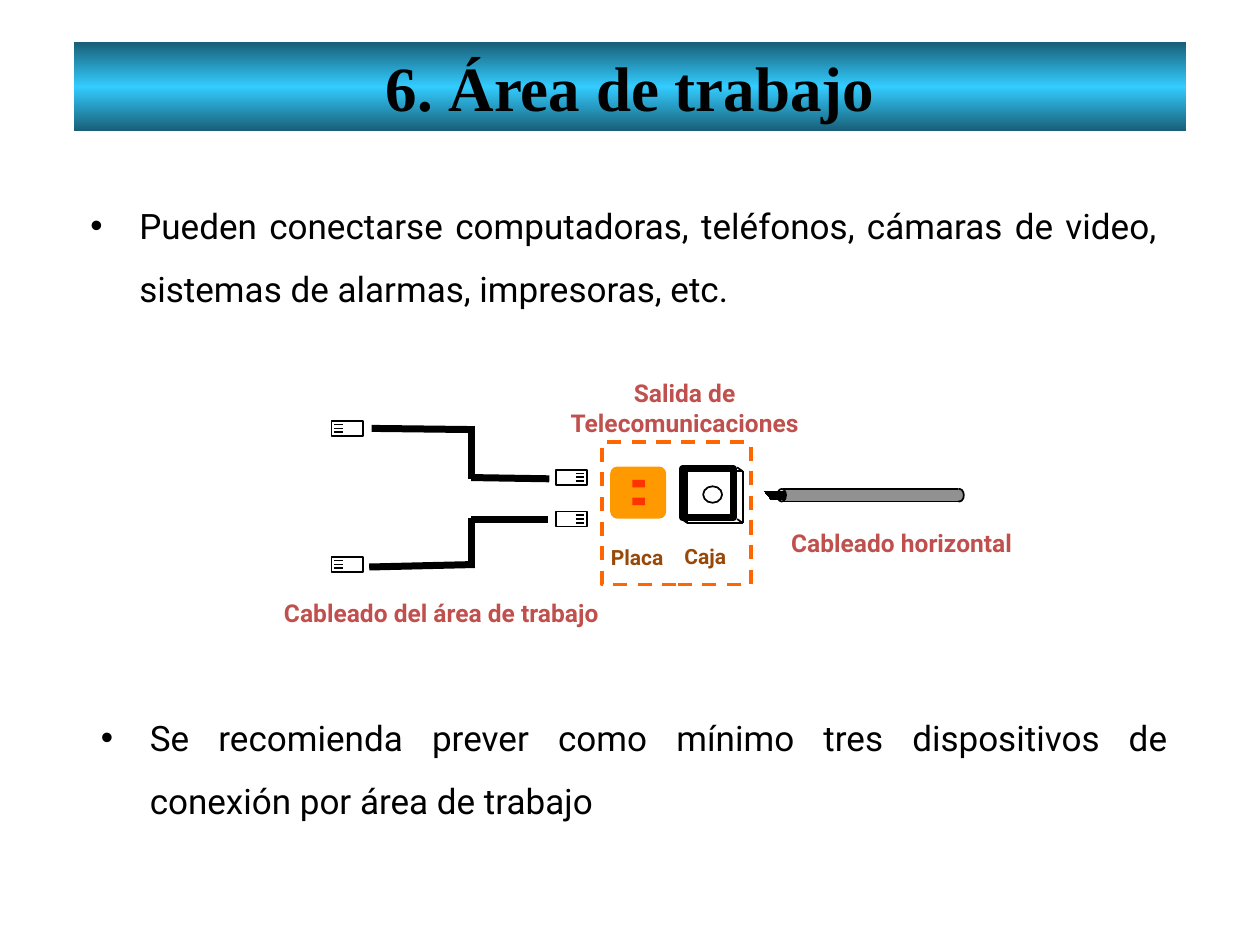
from copy import deepcopy
from dataclasses import dataclass
from typing import Optional

from lxml import etree
from pptx import Presentation
from pptx.dml.color import RGBColor
from pptx.enum import dml, shapes, text
from pptx.oxml.ns import qn
from pptx.util import Pt

Box = tuple[float, float, float, float]
KINDS = shapes.MSO_SHAPE


@dataclass(frozen=True)
class Theme:
    ink: str = "000000"
    white: str = "FFFFFF"
    sky: str = "33CCFF"
    deep: str = "185E76"
    red: str = "C0504D"
    brown: str = "984807"
    dash: str = "FF6600"
    plate: str = "FF9900"
    jack: str = "FF3300"
    gray: str = "919191"
    sans: str = "Roboto"
    serif: str = "Times New Roman"
    title: int = 36
    body: int = 20
    label: int = 14
    small: int = 12
    thin: int = 1
    thick: int = 4


T = Theme()


@dataclass(frozen=True)
class Label:
    box: Box
    lines: tuple[str, ...]
    size: int = T.label
    color: str = T.red
    center: bool = False


@dataclass(frozen=True)
class Plug:
    left: float
    top: float
    pin: float


BULLETS = (
    ((44.5, 101.5, 624, 76), "Pueden conectarse computadoras, teléfonos, "
     "cámaras de video, sistemas de alarmas, impresoras, etc."),
    ((50.5, 394, 624, 76), "Se recomienda prever como mínimo tres "
     "dispositivos de conexión por área de trabajo"),
)
LABELS = (
    Label((319, 214.5, 144.5, 37), ("Salida de", "Telecomunicaciones"),
          center=True),
    Label((345.5, 309.5, 39, 17.5), ("Placa",), T.small, T.brown),
    Label((387.5, 309, 33, 17.5), ("Caja",), T.small, T.brown),
    Label((152.5, 340, 199.5, 20), ("Cableado del área de trabajo",),
          center=True),
    Label((448.5, 300.25, 142, 20), ("Cableado horizontal",)),
)
PLUGS = (
    Plug(317.5, 268.5, 11.5), Plug(317.5, 292.3, 11.5),
    Plug(189.4, 240.5, 1.5), Plug(189.4, 318.2, 1.5),
)
CABLES = (
    (212.4, 244.8, 271.4, 245.5), (269.3, 244.8, 269.3, 273.6),
    (269.3, 272.9, 313.9, 273.6), (211, 324, 271.4, 322.6),
    (269.3, 295.9, 269.3, 324.7), (269.3, 296.6, 313.2, 296.6),
)


def rgb(color: str) -> RGBColor:
    return RGBColor.from_string(color)


def shape(page, kind, box: Box, fill: Optional[str] = None,
          line: Optional[str] = None, width: float = T.thin):
    item = page.shapes.add_shape(kind, *map(Pt, box))
    item.shadow.inherit = False
    if fill:
        item.fill.solid()
        item.fill.fore_color.rgb = rgb(fill)
    else:
        item.fill.background()
    if line:
        item.line.color.rgb = rgb(line)
        item.line.width = Pt(width)
    else:
        item.line.fill.background()
    return item


def wire(page, ends: Box, width: float = T.thin) -> None:
    item = page.shapes.add_connector(
        shapes.MSO_CONNECTOR.STRAIGHT, *map(Pt, ends))
    item.line.color.rgb = rgb(T.ink)
    item.line.width = Pt(width)
    etree.SubElement(item._element.spPr, qn("a:effectLst"))


def style(para, face: str, size: int, color: str, bold: bool) -> None:
    font = para.font
    font.name, font.size, font.bold = face, Pt(size), bold
    font.color.rgb = rgb(color)


def title(page) -> None:
    bar = shape(page, KINDS.RECTANGLE, (42, 24, 636, 51))
    bar.fill.gradient()
    bar.fill.gradient_angle = 90
    stops = bar._element.spPr.find(".//" + qn("a:gsLst"))
    stops.append(deepcopy(stops[0]))
    tones = (T.deep, T.sky, T.deep)
    for i, (stop, tone) in enumerate(zip(bar.fill.gradient_stops, tones)):
        stop.color.rgb = rgb(tone)
        stop.position = i / 2
    para = bar.text_frame.paragraphs[0]
    para.text = "6. Área de trabajo"
    para.alignment = text.PP_ALIGN.CENTER
    style(para, T.serif, T.title, T.ink, True)


def bullet(page, box: Box, words: str) -> None:
    frame = page.shapes.add_textbox(*map(Pt, box)).text_frame
    frame.word_wrap = True
    frame.auto_size = text.MSO_AUTO_SIZE.SHAPE_TO_FIT_TEXT
    para = frame.paragraphs[0]
    para.text = words
    para.alignment = text.PP_ALIGN.JUSTIFY
    para.line_spacing = 1.5
    props = para._p.get_or_add_pPr()
    props.set("marL", str(Pt(28)))
    props.set("indent", str(-Pt(28)))
    face = etree.SubElement(props, qn("a:buFont"))
    face.set("typeface", "Arial")
    mark = etree.SubElement(props, qn("a:buChar"))
    mark.set("char", "•")
    style(para, T.sans, T.body, T.ink, False)


def label(page, item: Label) -> None:
    frame = page.shapes.add_textbox(*map(Pt, item.box)).text_frame
    frame.word_wrap = False
    frame.auto_size = text.MSO_AUTO_SIZE.SHAPE_TO_FIT_TEXT
    frame.margin_left = frame.margin_right = Pt(3.6)
    frame.margin_top = frame.margin_bottom = Pt(1.6)
    frame.text = "\n".join(item.lines)
    align = text.PP_ALIGN.CENTER if item.center else text.PP_ALIGN.LEFT
    for para in frame.paragraphs:
        para.alignment = align
        style(para, T.sans, item.size, item.color, True)


def plug(page, item: Plug) -> None:
    shape(page, KINDS.RECTANGLE, (item.left, item.top, 18, 8.6), line=T.ink)
    x = item.left + item.pin
    for row in (1, 2, 3):
        y = item.top + 2.15 * row
        wire(page, (x, y, x + 5, y))


def outlet(page) -> None:
    """Draw the wall box with its depth edges, and the face plate."""
    shape(page, KINDS.RECTANGLE, (390.2, 267.8, 28.8, 28.1),
          line=T.ink, width=T.thick)
    left, top, right, base = 389.5, 267.1, 421.2, 296.6
    dx, dy = 3.2, 2.2
    for x, y in ((left, top), (right, top), (left, base), (right, base)):
        wire(page, (x, y, x + dx, y + dy))
    for y in (top + dy, base + dy):
        wire(page, (left + dx, y, right + dx, y))
    for x in (left + dx, right + dx):
        wire(page, (x, top + dy, x, base + dy))
    shape(page, KINDS.OVAL, (401.8, 277.9, 10.8, 9.4), line=T.ink)
    plate = shape(page, KINDS.ROUNDED_RECTANGLE, (349.2, 267.1, 31, 28.8),
                  T.plate, T.plate)
    plate.adjustments[0] = 0.125
    for y in (274.3, 284.4):
        shape(page, KINDS.RECTANGLE, (361.4, y, 7.2, 4.3), T.jack)
    frame = shape(page, KINDS.RECTANGLE, (344, 252.7, 85, 81.4),
                  line=T.dash, width=2)
    frame.line.dash_style = dml.MSO_LINE.DASH


def trunk(page) -> None:
    """Draw the horizontal cable and its frayed wires."""
    shape(page, KINDS.OVAL, (545.8, 279.4, 5, 7.2), T.gray, T.ink)
    shape(page, KINDS.RECTANGLE, (447.1, 279.4, 100.8, 6.8), T.gray)
    shape(page, KINDS.OVAL, (444.2, 279.4, 5, 7.2), T.white, T.ink)
    for y in (279.4, 286.6):
        wire(page, (447.5, y, 547.5, y))
    for i in range(8):
        y = 280.8 + 0.6 * i
        wire(page, (436.4 + 0.5 * i, y, 449, y))


def main() -> None:
    deck = Presentation()
    deck.slide_width, deck.slide_height = Pt(720), Pt(540)
    page = deck.slides.add_slide(deck.slide_layouts[6])
    title(page)
    for box, words in BULLETS:
        bullet(page, box, words)
    for item in PLUGS:
        plug(page, item)
    for ends in CABLES:
        wire(page, ends, T.thick)
    outlet(page)
    trunk(page)
    for item in LABELS:
        label(page, item)
    deck.save("out.pptx")


if __name__ == "__main__":
    main()
